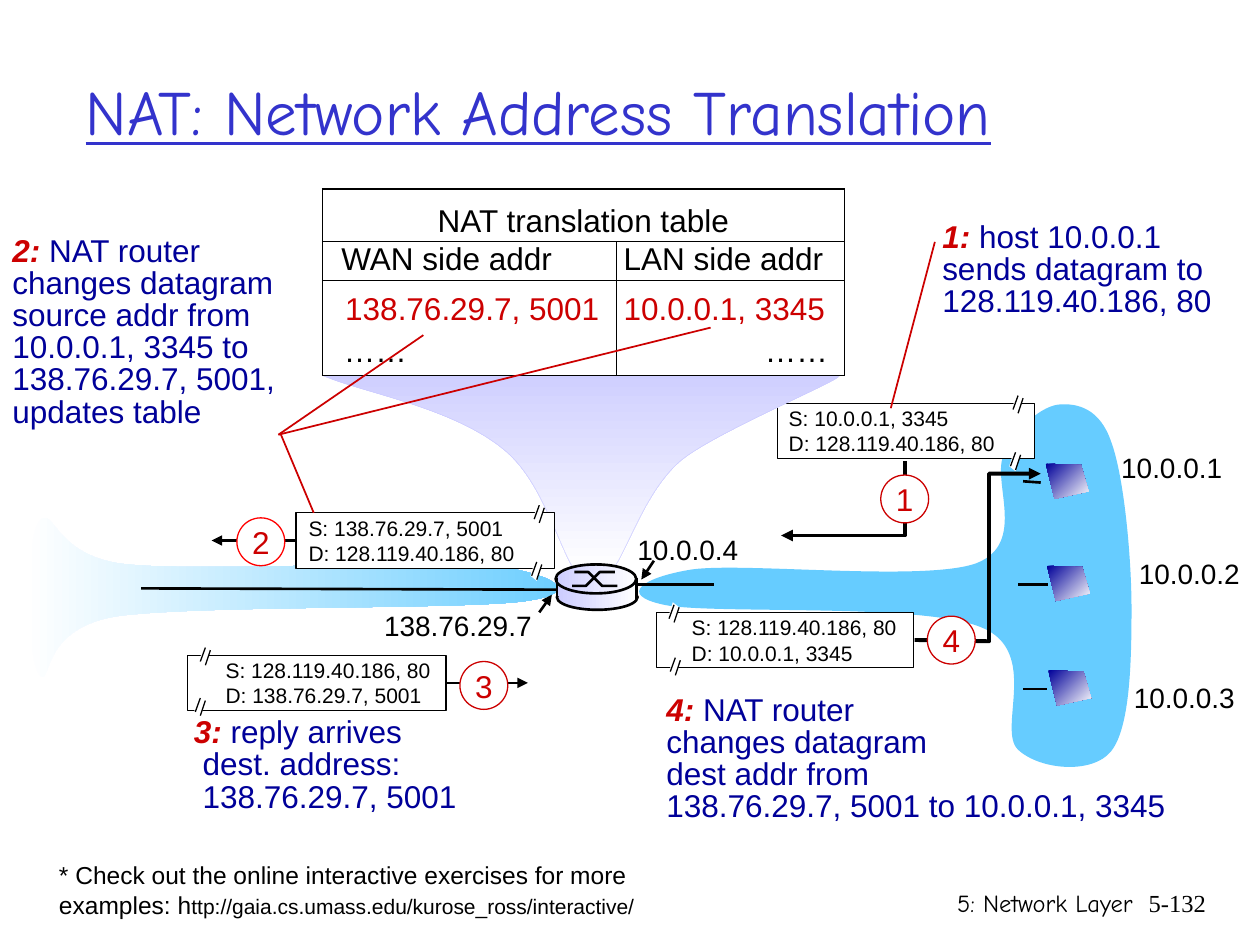
from lxml.etree import SubElement
from pptx import Presentation
from pptx.dml.color import RGBColor
from pptx.enum.shapes import MSO_CONNECTOR, MSO_SHAPE
from pptx.enum.text import MSO_ANCHOR, MSO_AUTO_SIZE, PP_ALIGN
from pptx.oxml.ns import qn
from pptx.util import Inches, Pt

BLACK, WHITE, RED, NAVY = "000000", "FFFFFF", "CC0000", "000099"
SKY, LILAC = "66CCFF", "CCCCFF"
LEFT_SIDE, RIGHT_SIDE = 1, 3

TITLE = "NAT: Network Address Translation"
WAN_CLOUD = [(3.92, 4.49), (3.39, 4.44, 1.62, 4.54, 1.02, 4.48),
             (0.42, 4.43, 0.43, 3.99, 0.31, 4.14), (0.2, 4.28, 0.21, 5.22, 0.31, 5.35),
             (0.42, 5.48, 0.29, 4.99, 0.93, 4.89), (1.58, 4.8, 3.68, 4.84, 4.17, 4.77),
             (4.67, 4.7, 4.36, 4.55, 3.92, 4.49)]
LAN_CLOUD = [(5.49, 4.52), (5.91, 4.46, 7.34, 4.62, 7.75, 4.47),
             (8.16, 4.31, 7.86, 3.81, 7.97, 3.6), (8.07, 3.39, 8.27, 3.22, 8.41, 3.21),
             (8.55, 3.2, 8.73, 3.24, 8.82, 3.51), (8.92, 3.78, 8.98, 4.42, 8.98, 4.83),
             (8.98, 5.24, 8.97, 5.77, 8.82, 5.96), (8.67, 6.15, 8.25, 6.11, 8.08, 5.95),
             (7.91, 5.79, 8.26, 5.17, 7.79, 4.98), (7.32, 4.78, 5.65, 4.88, 5.27, 4.8),
             (4.89, 4.72, 5.11, 4.58, 5.49, 4.52)]
FUNNEL = [(2.56, 2.98), (2.56, 2.98, 6.17, 2.87, 6.65, 2.98),
          (6.79, 2.97, 5.71, 3.41, 5.41, 3.65), (5.11, 3.9, 4.97, 4.41, 4.84, 4.55),
          (4.58, 4.55), (4.44, 4.38, 4.32, 3.82, 3.99, 3.56),
          (3.58, 3.23, 2.89, 3.12, 2.56, 2.98)]
LINKS = [((5.01, 4.64), (5.67, 4.64)), ((8.12, 3.82), (8.26, 3.83)),
         ((8.12, 5.47), (8.31, 5.47)), ((8.08, 4.64), (8.32, 4.64)),
         ((1.12, 4.67), (4.43, 4.68))]
ADDRESS_POINTERS = [((5.19, 4.45), (5.09, 4.6)), ((4.28, 4.86), (4.38, 4.72))]
ADDRESSES = [("10.0.0.1", 8.8, 3.53, 1.01), ("10.0.0.2", 8.94, 4.37, 1.01),
             ("10.0.0.3", 8.9, 5.35, 1.01), ("10.0.0.4", 4.96, 4.18, 1.01),
             ("138.76.29.7", 2.95, 4.78, 1.38)]
HOSTS = [(8.3, 3.68), (8.31, 4.49), (8.32, 5.32)]
HOST_OUTLINE = [(0, 0), (0.28, 0.01), (0.34, 0.22), (0.07, 0.28)]
BREAK_OUTLINE = [(0.04, 0), (0, 0.13), (0.05, 0.17), (0.09, 0.04)]
BREAK_STROKES = [((0.05, 0.02), (0.01, 0.13)), ((0.09, 0.04), (0.05, 0.16))]

PACKETS = [
    dict(number="1", box=(6.17, 3.2, 2.04, 0.44), source="10.0.0.1, 3345",
         dest="128.119.40.186, 80", indent=0.09, breaks=[(1.86, -0.08), (1.84, 0.37)],
         badge=(6.99, 3.77), ring=RED, route=[(7.18, 3.66), (7.18, 4.25), (6.2, 4.25)]),
    dict(number="4", box=(5.21, 4.86, 2.04, 0.44), source="128.119.40.186, 80",
         dest="10.0.0.1, 3345", indent=0.28, breaks=[(0.09, -0.08), (0.1, 0.34)],
         badge=(7.36, 4.89), ring=RED,
         route=[(7.26, 5.08), (7.85, 5.09), (7.85, 3.76), (8.26, 3.76)]),
    dict(number="2", box=(2.35, 4.07, 2.05, 0.44), source="138.76.29.7, 5001",
         dest="128.119.40.186, 80", indent=0.1, breaks=[(1.88, -0.08), (1.86, 0.37)],
         badge=(1.88, 4.11), ring="FF0000", route=[(2.35, 4.29), (1.68, 4.29)],
         side=LEFT_SIDE),
    dict(number="3", box=(1.49, 5.2, 2.05, 0.44), source="128.119.40.186, 80",
         dest="138.76.29.7, 5001", indent=0.3, breaks=[(0.09, -0.08), (0.05, 0.32)],
         badge=(3.65, 5.25), ring=RED, route=[(3.54, 5.42), (4.19, 5.42)],
         side=RIGHT_SIDE),
]
COLUMN_WIDTHS = (2.33, 1.81)
TABLE_ROWS = [
    (("NAT translation table", ""), 0.42, 0, MSO_ANCHOR.BOTTOM, BLACK),
    (("WAN side addr", "LAN side addr"), 0.31, 0.15, MSO_ANCHOR.TOP, BLACK),
    (("138.76.29.7, 5001", "10.0.0.1, 3345"), 0.37, 0.18, MSO_ANCHOR.BOTTOM, RED),
    (("……", "……"), 0.38, 0.17, MSO_ANCHOR.MIDDLE, BLACK),
]
STEPS = [
    ("1: ", (7.38, 1.72, 2.35, 0.87),
     ["host 10.0.0.1", "sends datagram to", "128.119.40.186, 80"]),
    ("2: ", (0, 1.83, 2.4, 1.63),
     ["NAT router", "changes datagram", "source addr from", "10.0.0.1, 3345 to",
      "138.76.29.7, 5001,", "updates table"]),
    ("3: ", (1.44, 5.65, 2.4, 0.87),
     ["reply arrives", " dest. address:", " 138.76.29.7, 5001"]),
    ("4: ", (5.19, 5.47, 4.3, 1.42),
     ["NAT router", "changes datagram", "dest addr from",
      "138.76.29.7, 5001 to 10.0.0.1, 3345"]),
]
STEP_POINTERS = [((7.42, 1.92), (7.07, 3.24)), ((2.23, 3.45), (2.49, 4.07)),
                 ((2.21, 3.45), (3.36, 2.66)), ((2.21, 3.45), (5.64, 2.6))]
FOOTNOTE = [("* Check out the online interactive exercises for more examples: h", 14),
            ("ttp://gaia.cs.umass.edu/kurose_ross/interactive/", 12)]
FOOTERS = [("5: Network Layer", "Comic Neue", (5.92, 7, 3.17, 0.5)),
           ("5-132", "Times New Roman", (8.93, 7, 0.74, 0.5))]


def rgb(code):
    return RGBColor.from_string(code)


def inches(values):
    return [Inches(value) for value in values]


def shift(origin, points):
    return [(origin[0] + x, origin[1] + y) for x, y in points]


def style(shape, fill=None, line=None, width=0.75, angle=0):
    shape.shadow.inherit = False
    if fill is None:
        shape.fill.background()
    elif isinstance(fill, tuple):
        shape.fill.gradient()
        shape.fill.gradient_angle = -angle % 360
        for stop, color, position in zip(shape.fill.gradient_stops, fill, (0, 1)):
            stop.color.rgb, stop.position = rgb(color), position
    else:
        shape.fill.solid()
        shape.fill.fore_color.rgb = rgb(fill)
    if line:
        shape.line.color.rgb, shape.line.width = rgb(line), Pt(width)
    else:
        shape.line.fill.background()
    return shape


def add_preset(kind, box, **look):
    return style(slide.shapes.add_shape(kind, *inches(box)), **look)


def add_outline(points, closed=True, **look):
    corners = [inches(point) for point in points]
    builder = slide.shapes.build_freeform(*corners[0], scale=1.0)
    builder.add_line_segments(corners[1:], close=closed)
    return style(builder.convert_to_shape(), **look)


def add_curve(pieces, **look):
    points = [point for piece in pieces for point in zip(piece[::2], piece[1::2])]
    shape = add_outline(points, **look)
    segments = iter(list(shape._element.iter(qn("a:lnTo"))))
    for piece in pieces[1:]:
        segment = next(segments)
        if len(piece) == 6:
            segment.tag
            bezier = segment.makeelement(qn("a:cubicBezTo"))
            segment.addprevious(bezier)
            for part in (segment, next(segments), next(segments)):
                bezier.append(part[0])
                part.getparent().remove(part)
    return shape


def add_arrowhead(shape):
    SubElement(shape.line._get_or_add_ln(), qn("a:tailEnd"), type="triangle")


def add_line(ends, color=BLACK, width=1.5, arrow=False):
    start, end = ends
    line = slide.shapes.add_connector(MSO_CONNECTOR.STRAIGHT, *inches(start + end))
    line.line.color.rgb, line.line.width = rgb(color), Pt(width)
    SubElement(line._element.spPr, qn("a:effectLst"))
    if arrow:
        add_arrowhead(line)
    return line


def add_run(paragraph, text, size, color=BLACK, font="Arial", strong=False):
    run = paragraph.add_run()
    run.text = text
    run.font.size, run.font.name, run.font.color.rgb = Pt(size), font, rgb(color)
    run.font.bold = run.font.italic = strong


def add_frame(box, wrap=False):
    frame = slide.shapes.add_textbox(*inches(box)).text_frame
    frame.word_wrap = wrap
    frame.auto_size = MSO_AUTO_SIZE.NONE if wrap else MSO_AUTO_SIZE.SHAPE_TO_FIT_TEXT
    return frame


def next_paragraph(frame, index):
    return frame.add_paragraph() if index else frame.paragraphs[0]


def set_margins(target, left=0.0, right=0.0):
    target.margin_left, target.margin_right = Inches(left), Inches(right)
    target.margin_top = target.margin_bottom = 0


def add_packet(packet):
    box = add_preset(MSO_SHAPE.RECTANGLE, packet["box"], fill=WHITE, line=BLACK)
    frame = box.text_frame
    frame.word_wrap, frame.vertical_anchor = True, MSO_ANCHOR.MIDDLE
    set_margins(frame, packet["indent"])
    for index, text in enumerate(("S: " + packet["source"], "D: " + packet["dest"])):
        paragraph = next_paragraph(frame, index)
        paragraph.alignment = PP_ALIGN.LEFT
        add_run(paragraph, text, 12)
    for origin in shift(packet["box"], packet["breaks"]):
        add_outline(shift(origin, BREAK_OUTLINE), fill=WHITE)
        for stroke in BREAK_STROKES:
            add_line(shift(origin, stroke), width=0.75)
    if "side" in packet:
        add_line(packet["route"], arrow=True).begin_connect(box, packet["side"])
    else:
        add_arrowhead(add_outline(packet["route"], closed=False, line=BLACK, width=2.25))
    badge = add_preset(MSO_SHAPE.OVAL, (*packet["badge"], 0.38, 0.38),
                       fill=WHITE, line=packet["ring"]).text_frame
    set_margins(badge)
    badge.word_wrap, badge.vertical_anchor = False, MSO_ANCHOR.MIDDLE
    badge.paragraphs[0].alignment = PP_ALIGN.CENTER
    add_run(badge.paragraphs[0], packet["number"], 18, RED)


def add_border(cell, side, visible):
    border = SubElement(cell._tc.get_or_add_tcPr(), qn("a:ln" + side), w=str(Pt(0.75)))
    if visible:
        SubElement(SubElement(border, qn("a:solidFill")), qn("a:srgbClr"), val=BLACK)
    else:
        SubElement(border, qn("a:noFill"))


def add_translation_table():
    box = (2.56, 1.5, sum(COLUMN_WIDTHS), sum(row[1] for row in TABLE_ROWS))
    table = slide.shapes.add_table(len(TABLE_ROWS), 2, *inches(box)).table
    table.first_row = table.horz_banding = False
    for column, width in zip(table.columns, COLUMN_WIDTHS):
        column.width = Inches(width)
    table.cell(0, 0).merge(table.cell(0, 1))
    for r, (texts, height, indent, anchor, color) in enumerate(TABLE_ROWS):
        table.rows[r].height = Inches(height)
        for c, text in enumerate(texts):
            cell = table.cell(r, c)
            for side in "LRTB":
                add_border(cell, side, (r, side) not in ((2, "B"), (3, "T")))
            cell.fill.solid()
            cell.fill.fore_color.rgb = rgb(WHITE)
            set_margins(cell, 0.06 if c else indent, 0.13 if c else 0)
            cell.vertical_anchor = anchor
            if not text:
                continue
            paragraph = cell.text_frame.paragraphs[0]
            if r == 0:
                cell.margin_bottom = Inches(0.02)
                paragraph.alignment = PP_ALIGN.CENTER
            elif r == 3 and c == 1:
                paragraph.alignment = PP_ALIGN.RIGHT
            add_run(paragraph, text, 18, color)


def add_router():
    body = dict(fill=(LILAC, WHITE))
    add_preset(MSO_SHAPE.OVAL, (4.42, 4.64, 0.64, 0.2), line=BLACK, width=1.5, **body)
    add_preset(MSO_SHAPE.RECTANGLE, (4.42, 4.61, 0.64, 0.12), **body)
    add_preset(MSO_SHAPE.OVAL, (4.41, 4.48, 0.64, 0.23), line=BLACK, width=1.5, **body)
    for left, start, end in ((4.54, 4.65, 4.54), (4.56, 4.54, 4.65)):
        crossing = [(left, start), (left + 0.11, start), (left + 0.22, end), (left + 0.34, end)]
        add_outline(crossing, closed=False, line=BLACK, width=1.5)
    for x in (4.42, 5.05):
        add_line(((x, 4.59), (x, 4.75)))


prs = Presentation()
prs.slide_width, prs.slide_height = Inches(10), Inches(7.5)
slide = prs.slides.add_slide(prs.slide_layouts[5])

title = slide.shapes.title
title.left, title.top, title.width, title.height = inches((0.58, 0.25, 8.99, 1.25))
title.text_frame.vertical_anchor = MSO_ANCHOR.MIDDLE
heading = title.text_frame.paragraphs[0]
heading.alignment = PP_ALIGN.LEFT
add_run(heading, TITLE, 36, "3333CC", "Comic Neue")
heading.runs[0].font.underline = True

add_curve(WAN_CLOUD, fill=(WHITE, SKY))
add_curve(LAN_CLOUD, fill=SKY)
for link in LINKS:
    add_line(link)
for text, left, top, width in ADDRESSES:
    add_run(add_frame((left, top, width, 0.37)).paragraphs[0], text, 16)
add_packet(PACKETS[0])
add_curve(FUNNEL, fill=(LILAC, WHITE), angle=90, line=LILAC, width=0.25)
add_translation_table()
for packet in PACKETS[1:]:
    add_packet(packet)
for pointer in ADDRESS_POINTERS:
    add_line(pointer, arrow=True)
for pointer in STEP_POINTERS:
    add_line(pointer, RED, 1)
for number, box, lines in STEPS:
    frame = add_frame(box, wrap=True)
    for index, text in enumerate(lines):
        paragraph = next_paragraph(frame, index)
        paragraph.line_spacing = 0.85
        if index == 0:
            add_run(paragraph, number, 18, RED, strong=True)
        add_run(paragraph, text, 18, NAVY)
add_router()
for host in HOSTS:
    add_outline(shift(host, HOST_OUTLINE), fill=(NAVY, WHITE), angle=45)

footnote = add_frame((0.37, 6.78, 4.93, 0.57), wrap=True).paragraphs[0]
for text, size in FOOTNOTE:
    add_run(footnote, text, size)
for text, font, box in FOOTERS:
    footer = add_frame(box, wrap=True).paragraphs[0]
    footer.alignment = PP_ALIGN.RIGHT
    add_run(footer, text, 14, font=font)

prs.save("out.pptx")
